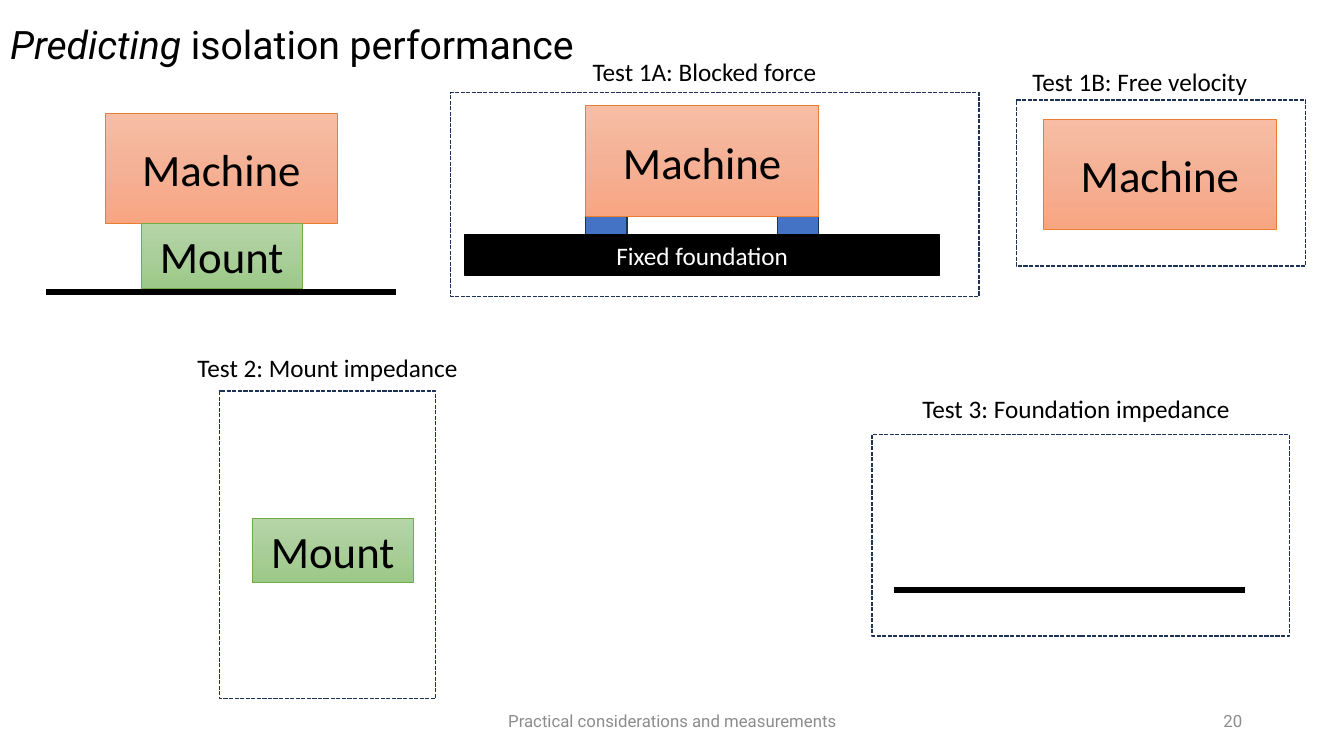
"""Build the slide on predicting isolation performance from separate tests."""
from copy import deepcopy

from pptx import Presentation
from pptx.dml.color import RGBColor
from pptx.enum.dml import MSO_LINE_DASH_STYLE as Dash
from pptx.enum.shapes import MSO_CONNECTOR as Connector, MSO_SHAPE as Shape
from pptx.enum.text import MSO_ANCHOR as Anchor, PP_ALIGN as Align
from pptx.oxml.ns import qn
from pptx.oxml.xmlchemy import OxmlElement
from pptx.util import Inches, Pt

COLUMNS, ROWS = 13.33, 7.5
CELL = Inches(1)
BLACK, WHITE, GREY, NAVY, BLUE = "000000", "FFFFFF", "8C8C8C", "1E3256", "4472C4"

TITLE = [("Predicting", True), (" isolation performance", False)]
FOOTERS = [
    ("Practical considerations and measurements", (4.42, 6.95, 4.5, 0.4), Align.CENTER),
    ("20", (9.42, 6.95, 3, 0.4), Align.RIGHT),
]
PARTS = {
    "Machine": {"size": (2.31, 1.1), "line": "ED7D31",
                "stops": ("F7BDA5", "F5B196", "F8A582"),
                "places": [(1.04, 1.12), (5.81, 1.05), (10.35, 1.18)]},
    "Mount": {"size": (1.6, 0.64), "line": "70AD47",
              "stops": ("B5D5A7", "AACE9A", "9CC987"),
              "places": [(1.4, 2.22), (2.5, 5.14)]},
}
TESTS = [
    ("Test 3: Foundation impedance", (9.05, 3.85, 3.33, 0.4), (8.65, 4.31, 4.14, 2)),
    ("Test 2: Mount impedance", (1.86, 3.45, 2.87, 0.4), (2.18, 3.88, 2.14, 3.05)),
    ("Test 1A: Blocked force", (5.78, 0.51, 2.87, 0.4), (4.47, 0.92, 5.24, 2.02)),
    ("Test 1B: Free velocity", (10.14, 0.61, 2.87, 0.4), (10.08, 0.99, 2.87, 1.65)),
]
FIXED_FOUNDATION = ("Fixed foundation", (4.61, 2.33, 4.71, 0.4))
FOUNDATION_LINES = [(0.46, 2.9, 3.47), (8.87, 5.85, 3.48)]
FOOT_WIDTH, FOOT_HEIGHT = 0.41, 0.24


def color(value):
    return RGBColor.from_string(value)


def grid(*cells):
    return [round(cell * CELL) for cell in cells]


def write(paragraph, text, size, font="Calibri", fill=BLACK, align=Align.LEFT, italic=False):
    paragraph.alignment = align
    run = paragraph.add_run()
    run.text = text
    run.font.size, run.font.name, run.font.italic = Pt(size), font, italic
    run.font.color.rgb = color(fill)


def add_label(slide, box, text, size, anchor=Anchor.TOP, **style):
    frame = slide.shapes.add_textbox(*grid(*box)).text_frame
    frame.word_wrap, frame.vertical_anchor = True, anchor
    write(frame.paragraphs[0], text, size, **style)


def add_box(slide, box, line, width=1, fill=None, stops=(), dash=None):
    shape = slide.shapes.add_shape(Shape.RECTANGLE, *grid(*box))
    shape.shadow.inherit = False
    shape.line.color.rgb, shape.line.width = color(line), Pt(width)
    if dash:
        shape.line.dash_style = dash
    if stops:
        shape.fill.gradient()
        shape.fill.gradient_angle = 270
        stop_list = shape._element.spPr.find(".//" + qn("a:gsLst"))
        stop_list.insert(1, deepcopy(stop_list[0]))
        for index, (stop, value) in enumerate(zip(shape.fill.gradient_stops, stops)):
            stop.position = index / (len(stops) - 1)
            stop.color.rgb = color(value)
    elif fill:
        shape.fill.solid()
        shape.fill.fore_color.rgb = color(fill)
    else:
        shape.fill.background()
    return shape


def fill_text(shape, text, size, fill=BLACK):
    shape.text_frame.vertical_anchor = Anchor.MIDDLE
    write(shape.text_frame.paragraphs[0], text, size, fill=fill, align=Align.CENTER)


def add_foundation_line(slide, left, top, length):
    line = slide.shapes.add_connector(
        Connector.STRAIGHT, *grid(left, top, left + length, top))
    line.line.color.rgb, line.line.width = color(BLACK), Pt(4.5)
    line._element.spPr.append(OxmlElement("a:effectLst"))


def add_title(slide):
    title = slide.shapes.title
    title.left, title.top, title.width, title.height = grid(0, 0, COLUMNS, 0.93)
    title.text_frame.vertical_anchor = Anchor.MIDDLE
    paragraph = title.text_frame.paragraphs[0]
    paragraph.line_spacing = 0.9
    for text, italic in TITLE:
        write(paragraph, text, 28, font="Roboto", italic=italic)


def main():
    presentation = Presentation()
    presentation.slide_width, presentation.slide_height = grid(COLUMNS, ROWS)
    slide = presentation.slides.add_slide(presentation.slide_layouts[5])
    add_title(slide)
    for text, box, align in FOOTERS:
        add_label(slide, box, text, 12, Anchor.MIDDLE, font="Roboto", fill=GREY, align=align)

    machine_width, machine_height = PARTS["Machine"]["size"]
    left, top = PARTS["Machine"]["places"][1]
    for foot_left in (left, left + machine_width - FOOT_WIDTH):
        foot = (foot_left, top + machine_height, FOOT_WIDTH, FOOT_HEIGHT)
        add_box(slide, foot, NAVY, fill=BLUE)

    for line in FOUNDATION_LINES:
        add_foundation_line(slide, *line)
    for name, part in PARTS.items():
        for place in part["places"]:
            shape = add_box(slide, place + part["size"], part["line"], 0.5, stops=part["stops"])
            fill_text(shape, name, 32)
    text, box = FIXED_FOUNDATION
    fill_text(add_box(slide, box, BLACK, fill=BLACK), text, 18, WHITE)

    for text, label, frame in TESTS:
        add_box(slide, frame, NAVY, dash=Dash.SQUARE_DOT)
        add_label(slide, label, text, 18)
    presentation.save("out.pptx")


if __name__ == "__main__":
    main()
